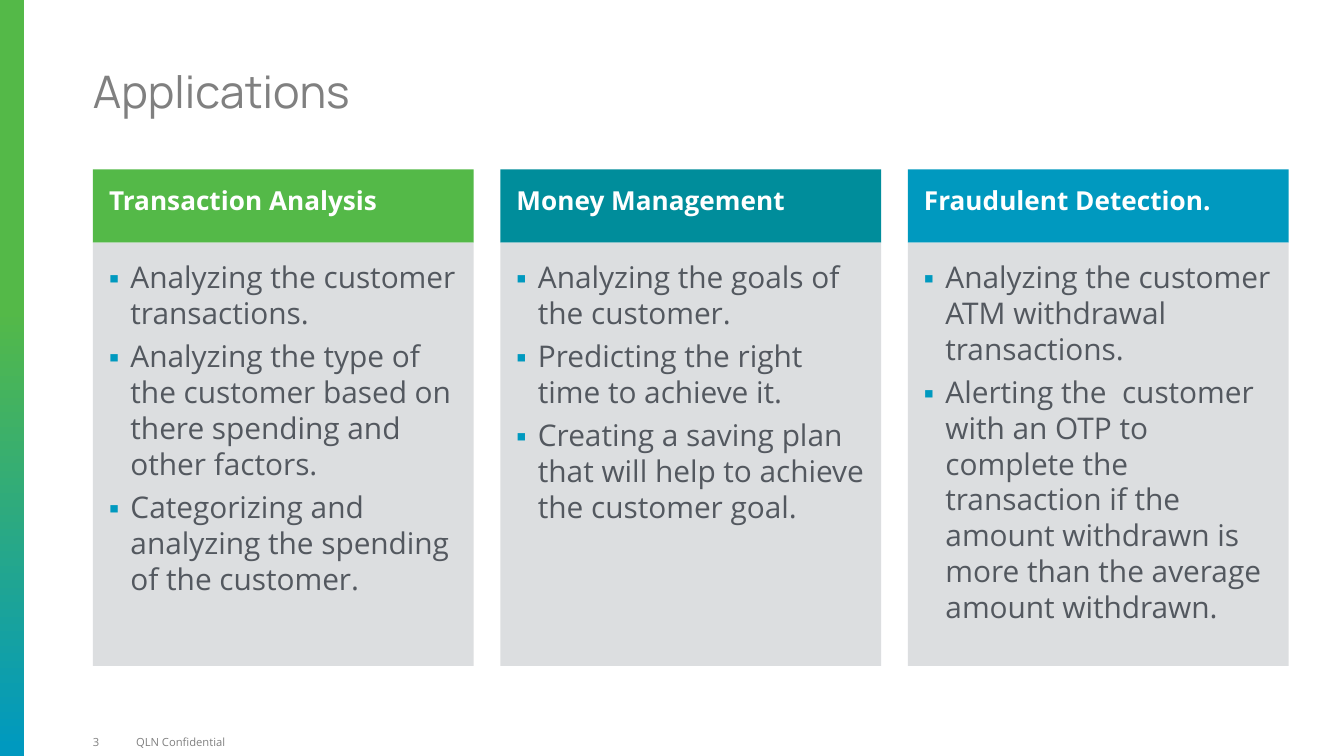
from lxml.etree import SubElement
from pptx import Presentation
from pptx.dml.color import RGBColor
from pptx.enum.shapes import MSO_SHAPE as Shape
from pptx.enum.text import MSO_ANCHOR as Anchor, MSO_AUTO_SIZE as AutoSize, PP_ALIGN as Align
from pptx.oxml.ns import qn
from pptx.util import Pt

GREEN, TEAL, BLUE = "54B948", "008D9B", "0099BF"
WHITE, PANEL, BODY, GREY = "FFFFFF", "DCDEE0", "53585F", "808080"
LEFT, PITCH, COLUMN_WIDTH = 49.8, 218.3, 204
HEADER_TOP, HEADER_HEIGHT, PANEL_HEIGHT = 90.7, 39.3, 226.8
APPLICATIONS = [
    ("Transaction Analysis", GREEN, [
        "Analyzing the customer transactions.",
        "Analyzing the type of the customer based on there spending and other factors.",
        "Categorizing and analyzing the spending of the customer.",
    ]),
    ("Money Management", TEAL, [
        "Analyzing the goals of the customer.",
        "Predicting the right time to achieve it.",
        "Creating a saving plan that will help to achieve the customer goal.",
    ]),
    ("Fraudulent Detection.", BLUE, [
        "Analyzing the customer ATM withdrawal transactions.",
        "Alerting the  customer with an OTP to complete the transaction if the "
        "amount withdrawn is more than the average amount withdrawn.",
    ]),
]


def rgb(color):
    """Turn a hex string into a colour."""
    return RGBColor.from_string(color)


def place(item, left, top, width, height):
    """Move and size an item, in points."""
    item.left, item.top, item.width, item.height = map(Pt, (left, top, width, height))


def write(item, lines, size, color, insets, anchor, font="Open Sans", bold=False,
          spacing=None, wrap=True):
    """Fill an item with left-aligned paragraphs and return them."""
    frame = item.text_frame
    frame.text = "\n".join(lines)
    frame.auto_size = AutoSize.NONE
    frame.word_wrap = wrap
    frame.vertical_anchor = anchor
    (frame.margin_left, frame.margin_top,
     frame.margin_right, frame.margin_bottom) = map(Pt, insets)
    for paragraph in frame.paragraphs:
        paragraph.alignment = Align.LEFT
        paragraph.line_spacing = spacing
        paragraph.font.size = Pt(size)
        paragraph.font.name = font
        paragraph.font.bold = bold
        paragraph.font.color.rgb = rgb(color)
    return frame.paragraphs


def add_block(slide, left, top, width, height, color=None):
    """Add a borderless rectangle, with a flat fill if a colour is given."""
    block = slide.shapes.add_shape(Shape.RECTANGLE, *map(Pt, (left, top, width, height)))
    block.shadow.inherit = False
    block.line.fill.background()
    if color:
        block.fill.solid()
        block.fill.fore_color.rgb = rgb(color)
    return block


def add_side_bar(slide):
    """Add the gradient bar along the left edge."""
    fill = add_block(slide, 0, 0, 13, 405).fill
    fill.gradient()
    fill.gradient_angle = 270
    for stop, position, color in zip(fill.gradient_stops, (0.41, 0.99), (GREEN, BLUE)):
        stop.position = position
        stop.color.rgb = rgb(color)


def add_bullet(paragraph):
    """Give a paragraph a hanging square bullet."""
    paragraph.space_after = Pt(4)
    properties = paragraph._p.get_or_add_pPr()
    properties.set("marL", str(Pt(11.5)))
    properties.set("indent", str(-Pt(11.5)))
    bullet_color = SubElement(properties, qn("a:buClr"))
    SubElement(bullet_color, qn("a:srgbClr"), val=BLUE)
    SubElement(properties, qn("a:buSzPct"), val="85000")
    SubElement(properties, qn("a:buFont"), typeface="Open Sans")
    SubElement(properties, qn("a:buChar"), char="▪")
    default_run = properties.find(qn("a:defRPr"))
    if default_run is not None:
        properties.append(default_run)


def add_application(slide, left, heading, color, points):
    """Add one column: a coloured heading above a panel of bullets."""
    header = add_block(slide, left, HEADER_TOP, COLUMN_WIDTH, HEADER_HEIGHT, color)
    write(header, [heading], 14, WHITE, (8.6, 0, 7.2, 3.6), Anchor.MIDDLE,
          bold=True, spacing=0.8)
    panel = add_block(slide, left, HEADER_TOP + HEADER_HEIGHT, COLUMN_WIDTH,
                      PANEL_HEIGHT, PANEL)
    for paragraph in write(panel, points, 16, BODY, (8.6, 8.6, 8.6, 3.6), Anchor.TOP):
        add_bullet(paragraph)


def add_title(slide, text):
    """Place and format the title."""
    title = slide.shapes.title
    place(title, LEFT, 11.5, 647.3, 78.5)
    write(title, [text], 24, GREY, (0, 3.6, 7.2, 3.6), Anchor.MIDDLE,
          font="Manrope", spacing=Pt(24))


def add_footer_text(slide, left, width, text, wrap=True):
    """Add small grey text at the bottom of the slide."""
    footer = slide.shapes.add_textbox(*map(Pt, (left, 389.8, width, 15.1)))
    write(footer, [text], 6, GREY, (0, 4, 4, 4), Anchor.MIDDLE, wrap=wrap)


def main():
    """Build the slide and save it."""
    deck = Presentation()
    deck.slide_width, deck.slide_height = Pt(720), Pt(405)
    slide = deck.slides.add_slide(deck.slide_layouts[5])
    add_side_bar(slide)
    add_title(slide, "Applications")
    for column, (heading, color, points) in enumerate(APPLICATIONS):
        add_application(slide, LEFT + column * PITCH, heading, color, points)
    add_footer_text(slide, LEFT, 11.5, "3", wrap=False)
    add_footer_text(slide, 72.9, 243.4, "QLN Confidential")
    deck.save("out.pptx")


if __name__ == "__main__":
    main()
